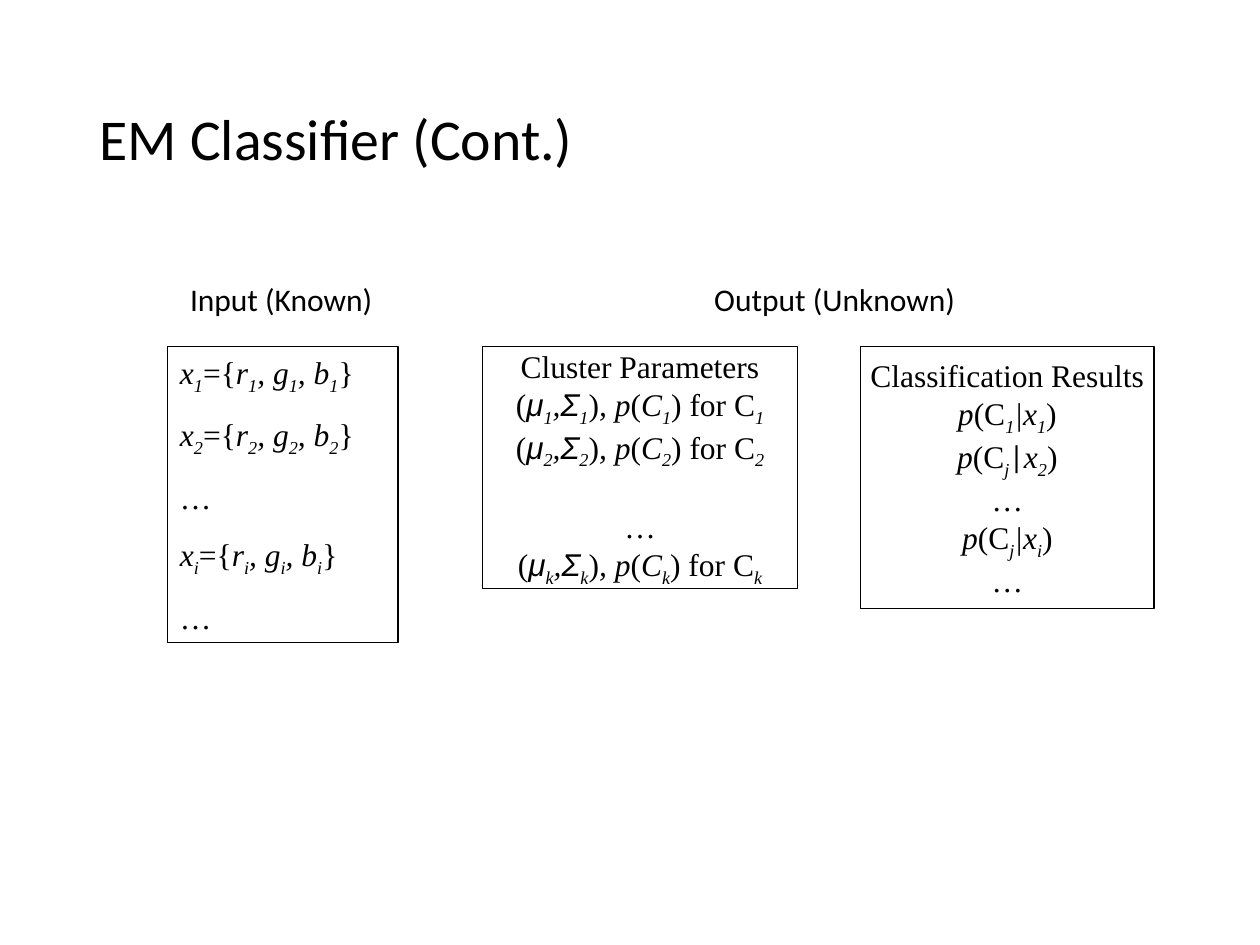
import itertools
import pptx
import pptx.dml.color
import pptx.enum.shapes
import pptx.enum.text
import pptx.util

UNIT = 1 / 12
INK = "000000"
SERIF, SANS = "Times New Roman", "Calibri"
ALIGN = pptx.enum.text.PP_ALIGN
ANCHOR = pptx.enum.text.MSO_ANCHOR


def tint(text):
    """Turn a hex string into a colour."""
    return pptx.dml.color.RGBColor.from_string(text)


def span(box):
    """Turn a box of grid columns and rows into lengths."""
    return [pptx.util.Inches(round(n * UNIT, 2)) for n in box]


def style(font, name, size=18):
    """Set the face, size and ink of a font."""
    font.name, font.size = name, pptx.util.Pt(size)
    font.color.rgb = tint(INK)


def marks(text):
    """Yield letters with face, slant and drop; * flips slant, _ drops a letter."""
    slant = drop = False
    for sign in text:
        if sign == "*":
            slant = not slant
        elif sign == "_":
            drop = True
        else:
            face = "Arial" if sign in "μΣ" else SERIF
            if sign == "|" and not slant:
                face = SANS
            yield sign, (face, slant or drop, drop)
            drop = False


def write(para, text):
    """Write marked-up maths as runs."""
    style(para.font, SERIF)
    for (face, slant, drop), part in itertools.groupby(marks(text), lambda m: m[1]):
        run = para.add_run()
        run.text = "".join(sign for sign, _ in part)
        style(run.font, face)
        run.font.italic = slant
        if drop:
            run.font._element.set("baseline", "-25000")


def panel(slide, box, lines, align, anchor, wrap, gaps):
    """Draw a framed list of formulas, with the gap in points before each line."""
    kind = pptx.enum.shapes.MSO_SHAPE.RECTANGLE
    shape = slide.shapes.add_shape(kind, *span(box))
    shape.shadow.inherit = False
    shape.fill.background()
    shape.line.color.rgb = tint(INK)
    shape.line.width = pptx.util.Pt(0.75)
    frame = shape.text_frame
    frame.word_wrap, frame.vertical_anchor = wrap, anchor
    for i, (line, gap) in enumerate(zip(lines, gaps)):
        para = frame.add_paragraph() if i else frame.paragraphs[0]
        para.alignment, para.space_before = align, pptx.util.Pt(gap)
        write(para, line)


def label(slide, box, text):
    """Place a caption above the panels."""
    frame = slide.shapes.add_textbox(*span(box)).text_frame
    frame.word_wrap = False
    para = frame.paragraphs[0]
    para.text = text
    style(para.font, SANS)


def head(slide, box, text):
    """Place and format the title."""
    title = slide.shapes.title
    title.left, title.top, title.width, title.height = span(box)
    frame = title.text_frame
    frame.auto_size = pptx.enum.text.MSO_AUTO_SIZE.NONE
    frame.vertical_anchor = ANCHOR.MIDDLE
    para = frame.paragraphs[0]
    para.text, para.alignment, para.line_spacing = text, ALIGN.LEFT, 0.9
    style(para.font, SANS, 33)


def main():
    """Build the slide."""
    deck = pptx.Presentation()
    deck.slide_width, deck.slide_height = span((120, 90))
    slide = deck.slides.add_slide(deck.slide_layouts[5])
    head(slide, (8.3, 4.8, 103.5, 17.4), "EM Classifier (Cont.)")
    label(slide, (16.9, 26, 19.8, 4.8), "Input (Known)")
    label(slide, (66.8, 26, 25.3, 4.8), "Output (Unknown)")

    point = "*x_{0}*={{*r_{0}, g_{0}, b_{0}*}}".format
    group = "(*μ_{0},Σ_{0}*)*, p*(*C_{0}*) for C_{0}".format
    known = [point(1), point(2), "…", point("i"), "…"]
    params = ["Cluster Parameters", group(1), group(2), "…", group("k")]
    odds = ["Classification Results", "*p*(C_1*|x_1*)", "*p*(C_j|*x_2*)",
            "…", "*p*(C_j*|x_i*)", "…"]
    panel(slide, (16, 33, 22, 28.2), known, ALIGN.LEFT, ANCHOR.TOP, True, [11.2] * 5)
    panel(slide, (46, 33, 30, 23), params, ALIGN.CENTER, ANCHOR.MIDDLE, False,
          [0, 0, 0, 21, 0])
    panel(slide, (82, 33, 28, 25), odds, ALIGN.CENTER, ANCHOR.MIDDLE, False, [0] * 6)
    deck.save("out.pptx")


if __name__ == "__main__":
    main()
